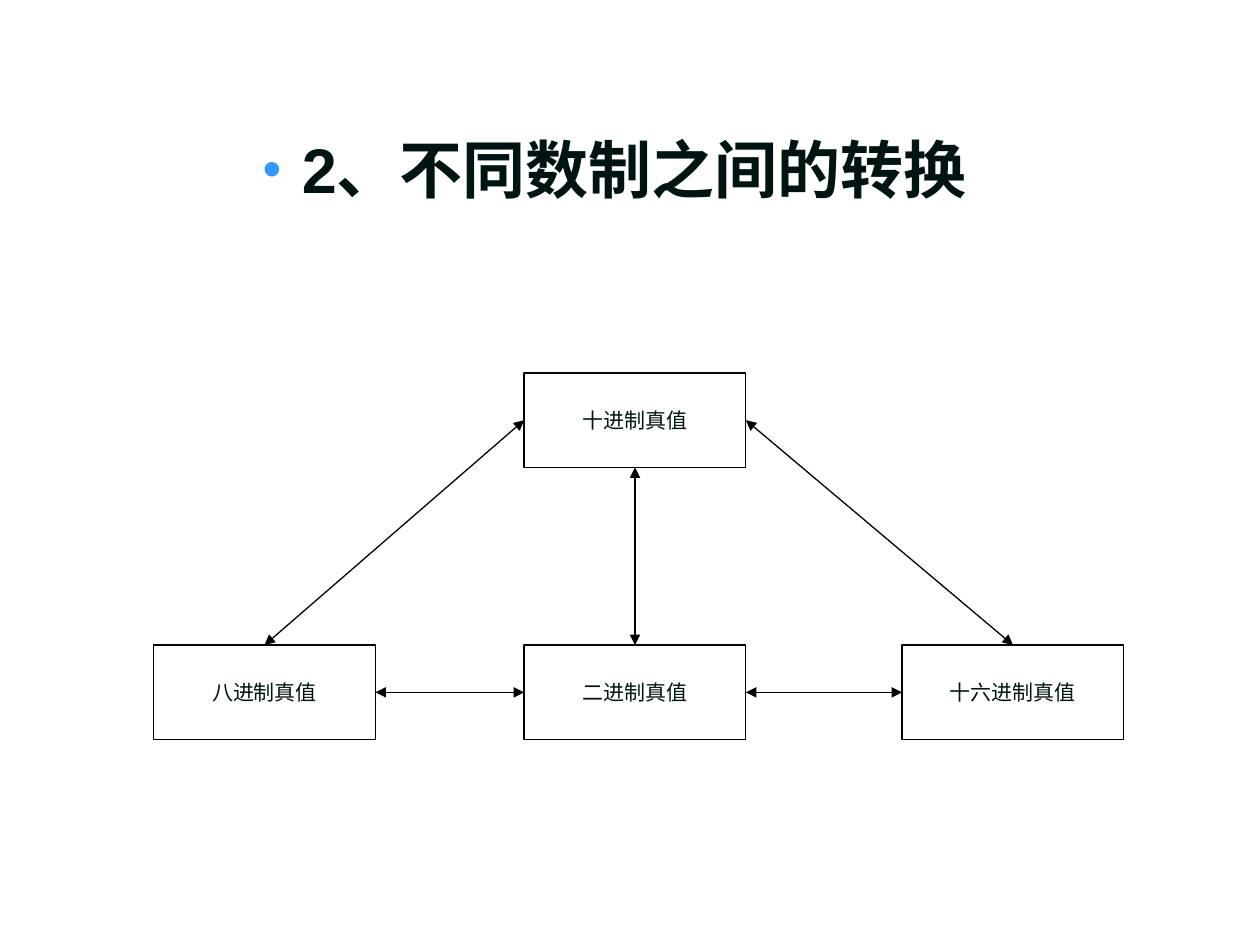
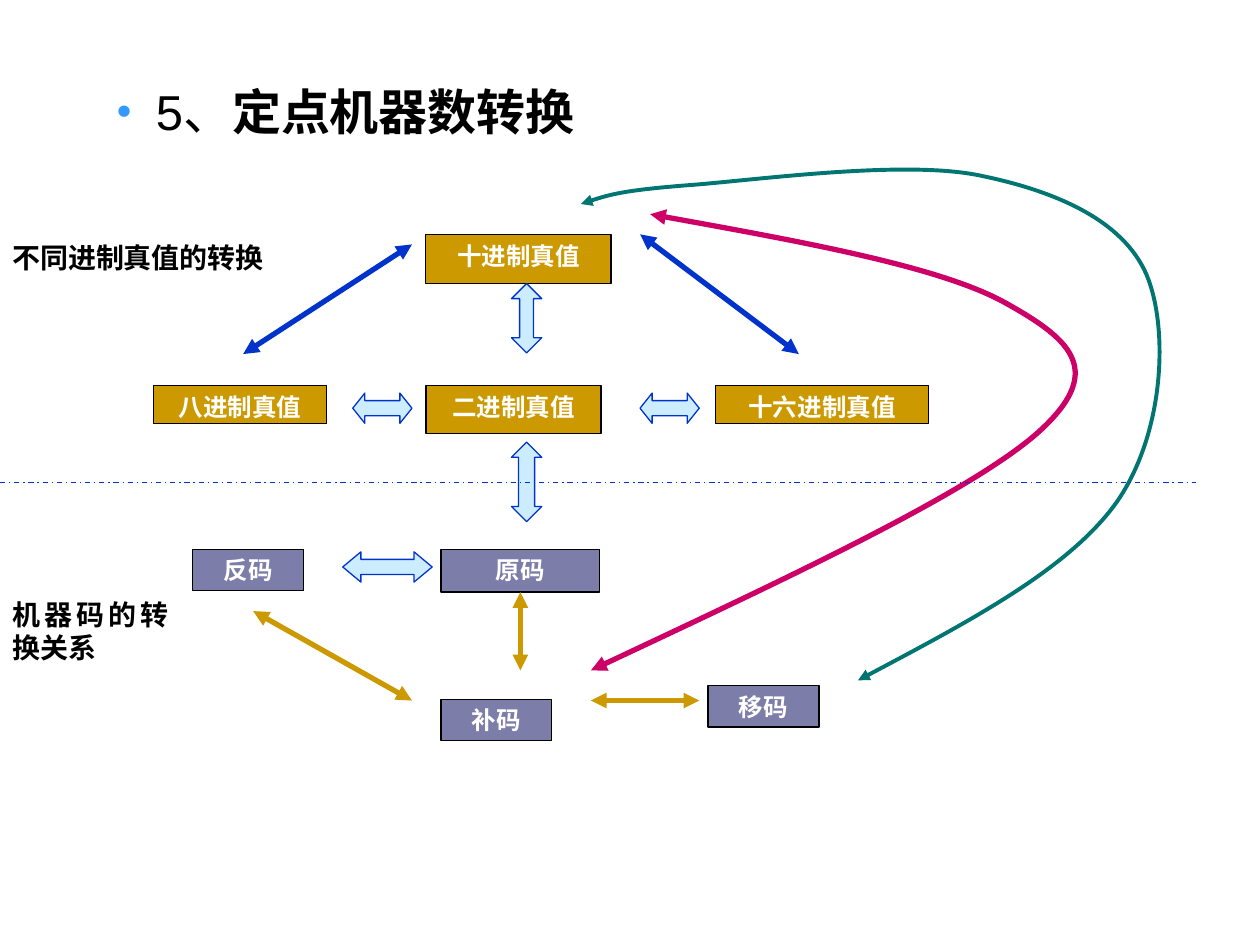
from lxml import etree
from pptx import Presentation
from pptx.dml.color import RGBColor
from pptx.enum.dml import MSO_LINE
from pptx.enum.shapes import MSO_CONNECTOR, MSO_SHAPE
from pptx.enum.text import MSO_ANCHOR, PP_ALIGN
from pptx.oxml.ns import qn
from pptx.util import Inches, Pt

BLACK = RGBColor(0x00, 0x00, 0x00)
WHITE = RGBColor(0xFF, 0xFF, 0xFF)
INK = RGBColor(0x00, 0x14, 0x14)
GOLD = RGBColor(0xCC, 0x99, 0x00)
SLATE = RGBColor(0x7D, 0x7D, 0xA9)
BLUE = RGBColor(0x00, 0x33, 0xCC)
PALE = RGBColor(0xCC, 0xEC, 0xFF)
PINK = RGBColor(0xCC, 0x00, 0x66)
TEAL = RGBColor(0x00, 0x75, 0x72)
RECT = MSO_SHAPE.RECTANGLE
TALL = MSO_SHAPE.UP_DOWN_ARROW
WIDE = MSO_SHAPE.LEFT_RIGHT_ARROW
STRAIGHT = MSO_CONNECTOR.STRAIGHT
DASH = MSO_LINE.DASH_DOT
LEFT, MID, JUST = PP_ALIGN.LEFT, PP_ALIGN.CENTER, PP_ALIGN.JUSTIFY
TOP, CENTER = MSO_ANCHOR.TOP, MSO_ANCHOR.MIDDLE


def add_box(slide, kind, place, fill, edge, text="", size=14, ink=WHITE,
            bold=True, align=MID, anchor=TOP):
    box = slide.shapes.add_shape(kind, *map(Inches, place))
    box.shadow.inherit = False
    box.fill.solid()
    box.fill.fore_color.rgb = fill
    if edge is None:
        box.line.fill.background()
    else:
        box.line.color.rgb = edge
        box.line.width = Pt(0.75)
    if text:
        frame = box.text_frame
        frame.text = text
        frame.word_wrap = True
        frame.vertical_anchor = anchor
        para = frame.paragraphs[0]
        para.alignment = align
        font = para.runs[0].font
        font.name, font.size, font.bold = "Times New Roman", Pt(size), bold
        font.color.rgb = ink
    return box


def draw_line(shape, color, width, heads=True):
    shape.line.color.rgb = color
    shape.line.width = Pt(width)
    if heads:
        line = shape.line._get_or_add_ln()
        for end in ("a:headEnd", "a:tailEnd"):
            etree.SubElement(line, qn(end), type="triangle")
    props = shape._element.spPr
    if props.find(qn("a:effectLst")) is None:
        etree.SubElement(props, qn("a:effectLst"))


deck = Presentation()
deck.slide_width, deck.slide_height = Inches(10), Inches(7.5)

titles = [
    ((0.35, 0.99, 9.34, 1.02), 0.88, MID, 36, INK,
     [("2、不同数制之间的转换", True)]),
    ((0.33, 0.6, 9.34, 5.82), 0.1, LEFT, 28, BLACK,
     [("5、", False), ("定点机器数转换", True)]),
]
slides = []
for place, right, align, size, ink, parts in titles:
    slide = deck.slides.add_slide(deck.slide_layouts[6])
    slides.append(slide)
    frame = slide.shapes.add_textbox(*map(Inches, place)).text_frame
    frame.word_wrap = True
    frame.margin_right = Inches(right)
    para = frame.paragraphs[0]
    para.alignment = align
    props = para._p.get_or_add_pPr()
    props.set("marL", str(Inches(0.81)))
    props.set("indent", str(Inches(-0.31)))
    tint = etree.SubElement(props, qn("a:buClr"))
    etree.SubElement(tint, qn("a:srgbClr"), val="3399FF")
    etree.SubElement(props, qn("a:buSzPct"), val="85000")
    etree.SubElement(props, qn("a:buFont"), typeface="Arial")
    etree.SubElement(props, qn("a:buChar"), char="•")
    for text, bold in parts:
        run = para.add_run()
        run.text = text
        run.font.name, run.font.size, run.font.bold = "Arial", Pt(size), bold
        run.font.color.rgb = ink
bases, codes = slides

nodes = {}
for name, left, top in [("十", 4.16, 2.96), ("二", 4.16, 5.12),
                        ("十六", 7.16, 5.12), ("八", 1.22, 5.12)]:
    nodes[name] = add_box(bases, RECT, (left, top, 1.76, 0.75), WHITE, BLACK,
                          name + "进制真值", 12, INK, False, anchor=CENTER)

for start, out, end, into in [("二", 0, "十", 2), ("二", 1, "八", 3),
                              ("二", 3, "十六", 1), ("十", 3, "十六", 0),
                              ("十", 1, "八", 0)]:
    link = bases.shapes.add_connector(STRAIGHT, 0, 0, 0, 0)
    link.begin_connect(nodes[start], out)
    link.end_connect(nodes[end], into)
    draw_line(link, BLACK, 0.75)

boxes = [
    ("十进制真值", 3.38, 1.86, 1.47, 0.39, GOLD),
    ("二进制真值", 3.38, 3.06, 1.39, 0.38, GOLD),
    ("十六进制真值", 5.68, 3.06, 1.69, 0.3, GOLD),
    ("八进制真值", 1.22, 3.06, 1.37, 0.3, GOLD),
    ("原码", 3.5, 4.36, 1.26, 0.34, SLATE),
    ("补码", 3.5, 5.55, 0.88, 0.33, SLATE),
    ("移码", 5.62, 5.44, 0.88, 0.33, SLATE),
    ("反码", 1.53, 4.36, 0.88, 0.33, SLATE),
]
for text, *place, fill in boxes:
    nodes[text] = add_box(codes, RECT, place, fill, BLACK, text)

for text, *place in [("不同进制真值的转换", 0, 1.86, 2.4, 0.78),
                     ("机器码的转换关系", 0, 4.69, 1.44, 1.1)]:
    add_box(codes, RECT, place, WHITE, None, text, 16, BLACK, align=JUST)

for kind, bend, *place in [(TALL, 0.46, 4.06, 2.25, 0.24, 0.55),
                           (TALL, 0.53, 4.06, 3.51, 0.24, 0.63),
                           (WIDE, 0.4, 2.8, 3.12, 0.47, 0.24),
                           (WIDE, 0.4, 5.08, 3.12, 0.47, 0.24),
                           (WIDE, 0.6, 2.72, 4.38, 0.71, 0.24)]:
    arrow = add_box(codes, kind, place, PALE, BLUE)
    arrow.adjustments[0] = 0.5
    arrow.adjustments[1] = bend

for color, *ends in [(BLUE, 5.08, 1.86, 6.34, 2.81),
                     (BLUE, 1.93, 2.81, 3.27, 1.94),
                     (GOLD, 2.01, 4.85, 3.27, 5.56),
                     (GOLD, 4.69, 5.56, 5.55, 5.56),
                     (GOLD, 4.13, 4.69, 4.13, 5.32)]:
    link = codes.shapes.add_connector(STRAIGHT, *map(Inches, ends))
    draw_line(link, color, 3)
link.begin_connect(nodes["原码"], 2)

curves = [
    (PINK, 3, [(5.16, 1.7), (6.32, 1.91), (7.48, 2.12), (7.99, 2.41),
               (8.51, 2.7), (8.78, 2.95), (8.23, 3.44),
               (7.68, 3.92), (6.18, 4.62), (4.69, 5.32)]),
    (TEAL, 2.25, [(4.61, 1.62), (4.78, 1.56), (4.95, 1.51), (5.47, 1.47),
                  (6, 1.43), (7.15, 1.27), (7.76, 1.39),
                  (8.36, 1.51), (8.91, 1.74), (9.1, 2.18),
                  (9.28, 2.61), (9.24, 3.45), (8.86, 3.99),
                  (8.48, 4.52), (7.64, 4.96), (6.81, 5.4)]),
]
for color, width, points in curves:
    spots = [(Inches(x), Inches(y)) for x, y in points]
    pen = codes.shapes.build_freeform(*spots[0])
    pen.add_line_segments(spots[1:], close=False)
    curve = pen.convert_to_shape()
    curve.shadow.inherit = False
    curve.fill.background()
    steps = list(curve._element.iter(qn("a:lnTo")))
    track = steps[0].getparent()
    for i in range(0, len(steps), 3):
        bend = etree.SubElement(track, qn("a:cubicBezTo"))
        for step in steps[i:i + 3]:
            bend.append(step[0])
            track.remove(step)
    draw_line(curve, color, width)

rule = codes.shapes.add_connector(STRAIGHT, 0, Inches(3.83), Inches(9.49), Inches(3.83))
draw_line(rule, BLUE, 0.75, heads=False)
rule.line.dash_style = DASH

deck.save("out.pptx")
